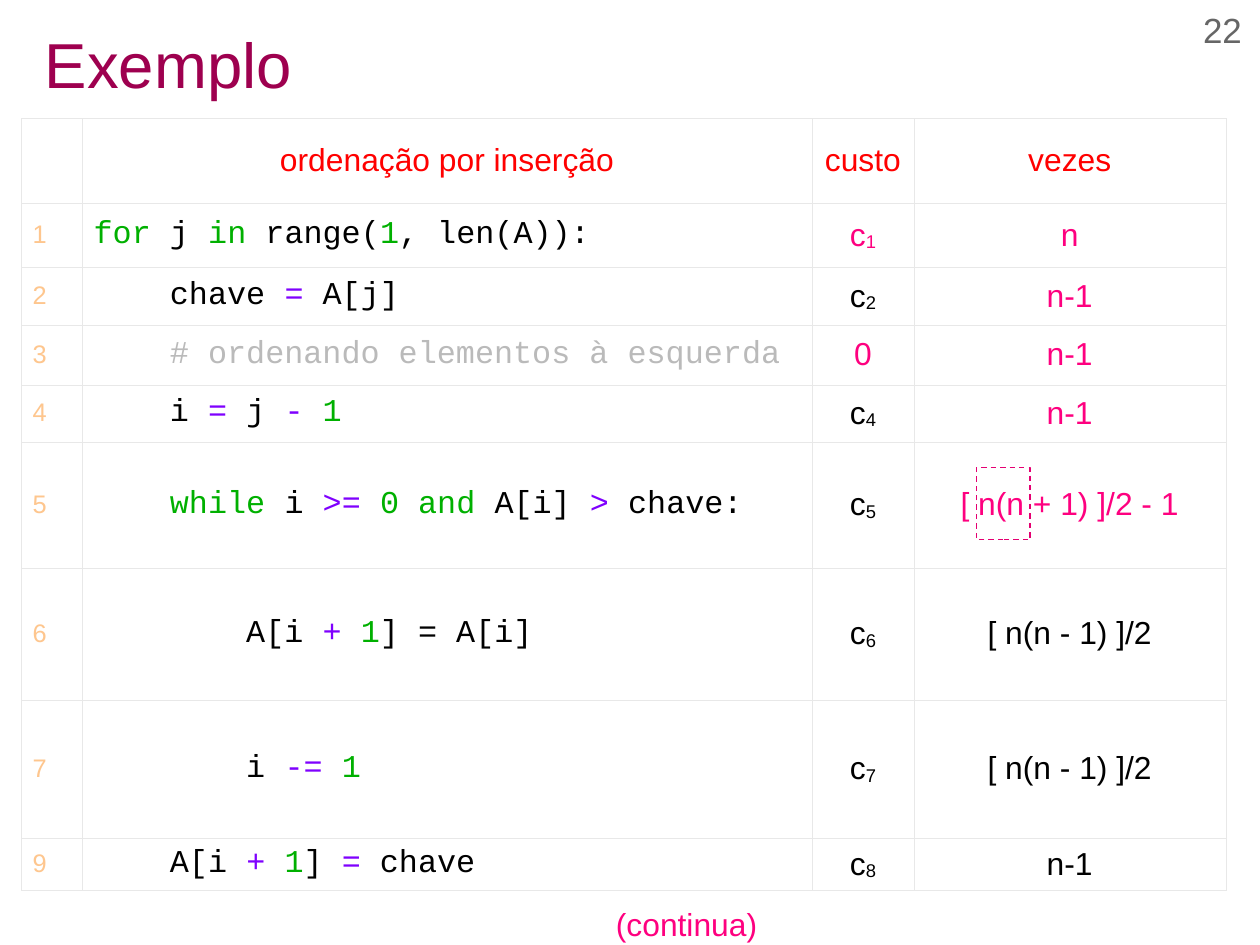
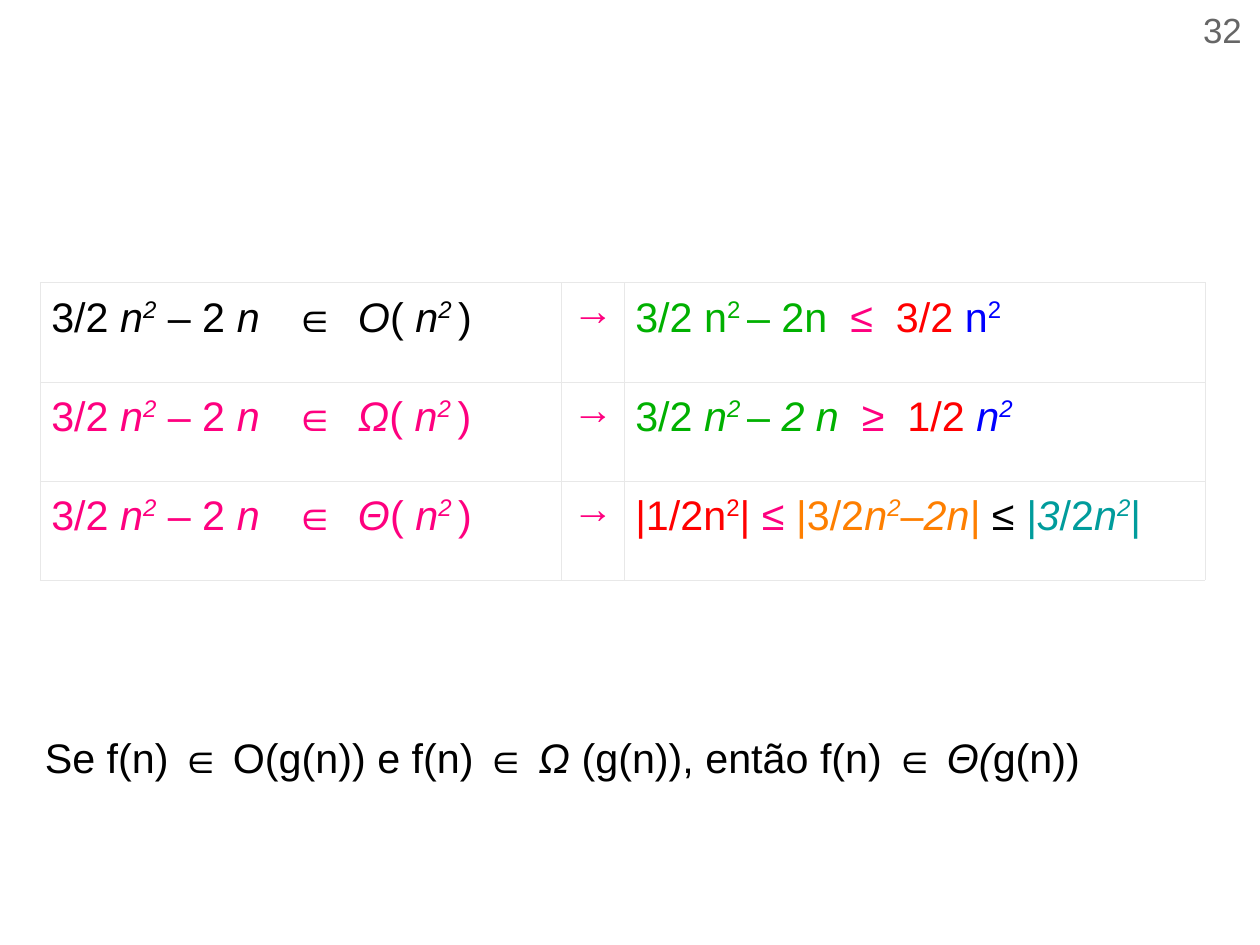
import pptx
import pptx.util
import pptx.dml.color
import pptx.enum.dml
import pptx.enum.shapes
import pptx.enum.text
from lxml import etree

Pt = pptx.util.Pt
ALIGN = pptx.enum.text.PP_ALIGN
ANCHOR = pptx.enum.text.MSO_ANCHOR
NS = "http://schemas.openxmlformats.org/drawingml/2006/main"

# Shared look
SANS, MONO = "Arial", "Courier New"
BLACK, WINE, GREY, PALE = "000000", "9E004F", "666666", "E8E8E8"
RED, PINK, GREEN, PURPLE = "FF0000", "FE007F", "00B000", "7F00FE"
PEACH, COMMENT, BLUE, ORANGE, TEAL = "FEC68E", "BABABA", "0000FF", "FE7F00", "009C9C"
DASHED = "E40072"
BASELINE = {"^": "33000", "_": "-8000"}
CELL_INSETS = (7.2, 3.6)


def colour(value):
    return pptx.dml.color.RGBColor.from_string(value)


def child(parent, tag, **attrs):
    return etree.SubElement(parent, f"{{{NS}}}{tag}", attrs)


def write(tf, runs, size, font=SANS, align=ALIGN.LEFT, spacing=None, tabs=()):
    """Runs are (text, colour, flags): i italic, ^ superscript, _ subscript."""
    p = tf.paragraphs[0]
    if tabs:
        stops = child(p._p.get_or_add_pPr(), "tabLst")
        for stop in tabs:
            child(stops, "tab", pos=str(int(Pt(stop))), algn="l")
    p.alignment = align
    if spacing:
        p.line_spacing = spacing
    for text, ink, *flags in runs:
        r = p.add_run()
        r.text = text
        r.font.name, r.font.size = font, Pt(size)
        r.font.color.rgb = colour(ink)
        for flag in "".join(flags):
            if flag == "i":
                r.font.italic = True
            else:
                r._r.get_or_add_rPr().set("baseline", BASELINE[flag])


def textbox(s, box, runs, size, insets=(0, 0), anchor=ANCHOR.TOP, wrap=True, **style):
    tf = s.shapes.add_textbox(*map(Pt, box)).text_frame
    tf.word_wrap = wrap
    tf.vertical_anchor = anchor
    tf.margin_left = tf.margin_right = Pt(insets[0])
    tf.margin_top = tf.margin_bottom = Pt(insets[1])
    write(tf, runs, size, **style)


def grid(s, left, top, widths, heights):
    """Unfilled table with hairline borders."""
    box = map(Pt, (left, top, sum(widths), sum(heights)))
    table = s.shapes.add_table(len(heights), len(widths), *box).table
    table.first_row = table.horz_banding = False
    for column, width in zip(table.columns, widths):
        column.width = Pt(width)
    for row, height in zip(table.rows, heights):
        row.height = Pt(height)
    for cell in table.iter_cells():
        tcPr = cell._tc.get_or_add_tcPr()
        for side in ("lnL", "lnR", "lnT", "lnB"):
            line = child(tcPr, side, w=str(int(Pt(0.06))))
            child(child(line, "solidFill"), "srgbClr", val=PALE)
        cell.fill.background()
        cell.margin_left = cell.margin_right = Pt(CELL_INSETS[0])
        cell.margin_top = cell.margin_bottom = Pt(CELL_INSETS[1])
    return table


def new_slide(prs, number, title=None):
    s = prs.slides.add_slide(prs.slide_layouts[6])
    if title:
        textbox(s, (28.3, 14.4, 737.3, 56.9), [(title, WINE)], 40,
                anchor=ANCHOR.MIDDLE, spacing=0.9)
    textbox(s, (585.7, 5.4, 196.6, 33), [(number, GREY)], 22, align=ALIGN.RIGHT)
    return s


# Insertion sort: line number, code, cost, times
def cost(index, ink=BLACK):
    return [("c", ink), (index, ink, "_")]


HEADINGS = ("ordenação por inserção", "custo", "vezes")
CODE_LINES = [
    ("1", [("for", GREEN), (" j ", BLACK), ("in", GREEN), (" range(", BLACK),
           ("1", GREEN), (", len(A)):", BLACK)], cost("1", PINK), ("n", PINK)),
    ("2", [("    chave ", BLACK), ("=", PURPLE), (" A[j]", BLACK)],
     cost("2"), ("n-1", PINK)),
    ("3", [("    # ordenando elementos à esquerda", COMMENT)],
     [("0", PINK)], ("n-1", PINK)),
    ("4", [("    i ", BLACK), ("=", PURPLE), (" j ", BLACK), ("- ", PURPLE),
           ("1", GREEN)], cost("4"), ("n-1", PINK)),
    ("5", [("    while", GREEN), (" i ", BLACK), (">= ", PURPLE), ("0 and", GREEN),
           (" A[i] ", BLACK), (">", PURPLE), (" chave:", BLACK)],
     cost("5"), ("[ n(n + 1) ]/2 - 1", PINK)),
    ("6", [("        A[i ", BLACK), ("+ ", PURPLE), ("1", GREEN), ("] = A[i]", BLACK)],
     cost("6"), ("[ n(n - 1) ]/2", BLACK)),
    ("7", [("        i ", BLACK), ("-= ", PURPLE), ("1", GREEN)],
     cost("7"), ("[ n(n - 1) ]/2", BLACK)),
    ("9", [("    A[i ", BLACK), ("+ ", PURPLE), ("1", GREEN), ("] ", BLACK),
           ("=", PURPLE), (" chave", BLACK)], cost("8"), ("n-1", BLACK)),
]


def cost_table(s, left, top):
    table = grid(s, left, top, (38.4, 459.7, 64.2, 196.4),
                 (53.6, 40.3, 36.4, 37.7, 35.9, 79.4, 83.2, 86.9, 33.3))
    for cell in table.iter_cells():
        cell.vertical_anchor = ANCHOR.MIDDLE
    for column, heading in enumerate(HEADINGS, 1):
        write(table.cell(0, column).text_frame, [(heading, RED)], 20, align=ALIGN.CENTER)
    for row, (number, code, price, times) in enumerate(CODE_LINES, 1):
        frames = [table.cell(row, column).text_frame for column in range(4)]
        write(frames[0], [(number, PEACH)], 16)
        write(frames[1], code, 20, font=MONO)
        write(frames[2], price, 20, align=ALIGN.CENTER)
        write(frames[3], [times], 20, align=ALIGN.CENTER)


def dashed_frame(s, box):
    sp = s.shapes.add_shape(pptx.enum.shapes.MSO_SHAPE.RECTANGLE, *map(Pt, box))
    sp.shadow.inherit = False
    sp.fill.background()
    sp.line.color.rgb = colour(DASHED)
    sp.line.width = Pt(0.85)
    sp.line.dash_style = pptx.enum.dml.MSO_LINE.DASH


def example_slide(prs):
    s = new_slide(prs, "22", "Exemplo")
    cost_table(s, 13.4, 74.4)
    textbox(s, (380.9, 566.6, 103.7, 29.5), [("(continua)", PINK)], 20,
            insets=CELL_INSETS, wrap=False)
    dashed_frame(s, (615, 294.6, 33.9, 45.4))


# Asymptotic classes: membership, arrow, inequality
def membership(symbol, ink):
    parts = (("3/2 ", ""), ("n", "i"), ("2", "i^"), (" – 2 ", ""), ("n", "i"),
             ("\t∈\t", ""), (symbol, "i"), ("( ", ""), ("n", "i"), ("2 ", "i^"), (")", ""))
    return [(text, ink, flags) for text, flags in parts]


CLASSES = [
    ("O", BLACK, (135.5, 164.2),
     [("3/2 n", GREEN), ("2 ", GREEN, "^"), ("– 2n", GREEN), ("\t≤\t", PINK),
      ("3/2 ", RED), ("n", BLUE), ("2", BLUE, "^")]),
    ("Ω", PINK, (142.7, 171.4),
     [("3/2 ", GREEN), ("n", GREEN, "i"), ("2 ", GREEN, "i^"), ("– ", GREEN),
      ("2 n", GREEN, "i"), ("\t≥\t", PINK), ("1/2 ", RED), ("n", BLUE, "i"),
      ("2", BLUE, "i^")]),
    ("Θ", PINK, (),
     [("|1/2n", RED), ("2", RED, "^"), ("|", RED), (" ≤ ", PINK), ("|3/2", ORANGE),
      ("n", ORANGE, "i"), ("2", ORANGE, "i^"), ("–", ORANGE), ("2n| ", ORANGE, "i"),
      ("≤ ", BLACK, "i"), ("|3", TEAL, "i"), ("/2", TEAL), ("n", TEAL, "i"),
      ("2", TEAL, "i^"), ("|", TEAL)]),
]


def class_table(s, left, top):
    table = grid(s, left, top, (328.2, 39.7, 366), [62.4] * len(CLASSES))
    for row, (symbol, ink, tabs, inequality) in enumerate(CLASSES):
        frames = [table.cell(row, column).text_frame for column in range(3)]
        write(frames[0], membership(symbol, ink), 26, spacing=1.15, tabs=(153, 193.2))
        write(frames[1], [("→", PINK)], 26)
        write(frames[2], inequality, 26, spacing=1.15, tabs=tabs)


def asymptotic_slide(prs):
    s = new_slide(prs, "32")
    class_table(s, 25.1, 178)
    conclusion = [("Se f(n) ∈ O(g(n)) e f(n) ∈ ", BLACK), ("Ω", BLACK, "i"),
                  (" (g(n)), então f(n) ∈ ", BLACK), ("Θ(", BLACK, "i"), ("g(n))", BLACK)]
    textbox(s, (28.3, 456.5, 737.3, 124.5), conclusion, 26, spacing=1.15)


def main():
    prs = pptx.Presentation()
    # 28 by 21 cm
    prs.slide_width, prs.slide_height = Pt(793.7), Pt(595.28)
    example_slide(prs)
    asymptotic_slide(prs)
    prs.save("out.pptx")


if __name__ == "__main__":
    main()
